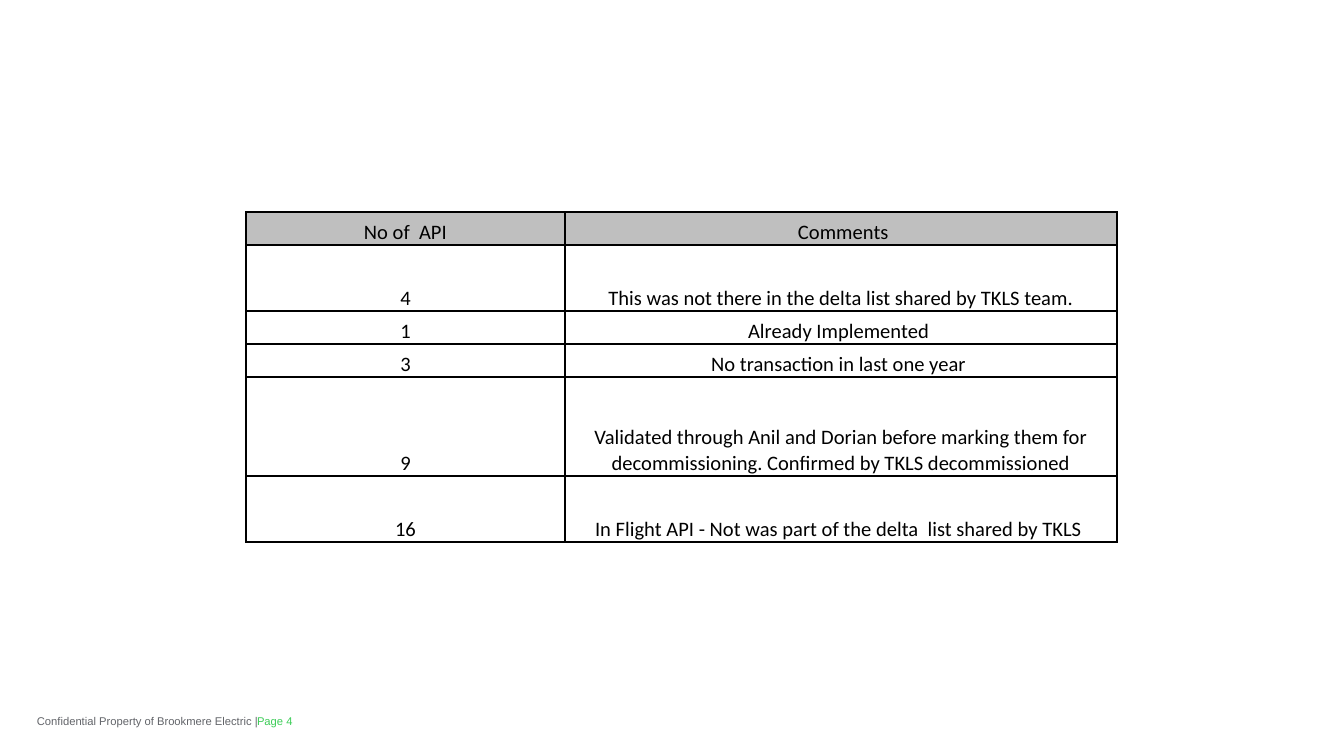
"""Build a slide with a table of API counts and comments."""
from lxml import etree
from pptx import Presentation
from pptx.dml.color import RGBColor
from pptx.enum.text import MSO_ANCHOR, PP_ALIGN
from pptx.oxml.ns import qn
from pptx.util import Pt

BOTTOM, MIDDLE = MSO_ANCHOR.BOTTOM, MSO_ANCHOR.MIDDLE
CENTER = PP_ALIGN.CENTER
SCALE = 914400 / 134.4
BLACK, GREY = "000000", "BFBFBF"
EDGES = ("a:lnL", "a:lnR", "a:lnT", "a:lnB")

ROWS = [
    ("No of  API", "  Comments "),
    ("4", "This was not there in the delta list shared by TKLS team."),
    ("1", "Already Implemented "),
    ("3", "No transaction in last one year "),
    ("9", "Validated through Anil and Dorian before marking them for "
          "decommissioning. Confirmed by TKLS decommissioned"),
    ("16", "In Flight API - Not was part of the delta  list shared by TKLS "),
]
UNIT = 33
LINES = (1, 2, 1, 1, 3, 2)
COLS = (319, 552)
LEFT, TOP = 246, 212
FOOTER = [
    ("Page 4", 257, 77, "3DCD58"),
    ("Confidential Property of Brookmere Electric |", 37, 222, "626469"),
]


def px(n):
    return round(n * SCALE)


def color(code):
    return RGBColor.from_string(code)


def style(para, font, size, code):
    para.font.name = font
    para.font.size = Pt(size)
    para.font.color.rgb = color(code)


def border(cell):
    props = cell._tc.get_or_add_tcPr()
    for edge in EDGES:
        line = etree.SubElement(props, qn(edge), w=str(Pt(1)))
        fill = etree.SubElement(line, qn("a:solidFill"))
        etree.SubElement(fill, qn("a:srgbClr"), val=BLACK)


def add_note(slide, text, left, width, code):
    box = slide.shapes.add_textbox(px(left), px(714), px(width), px(14))
    frame = box.text_frame
    frame.word_wrap = False
    frame.vertical_anchor = MIDDLE
    frame.margin_left = frame.margin_right = 0
    frame.margin_top = frame.margin_bottom = 0
    frame.text = text
    style(frame.paragraphs[0], "Arial", 6, code)


def fill_cell(cell, text, head):
    border(cell)
    if head:
        cell.fill.solid()
        cell.fill.fore_color.rgb = color(GREY)
    else:
        cell.fill.background()
    cell.vertical_anchor = BOTTOM
    cell.margin_left = cell.margin_right = px(9)
    cell.margin_top = cell.margin_bottom = 0
    cell.text = text
    para = cell.text_frame.paragraphs[0]
    para.alignment = CENTER
    style(para, "Calibri", 11, BLACK)


def add_grid(slide):
    frame = slide.shapes.add_table(
        len(ROWS), len(COLS), px(LEFT), px(TOP),
        px(sum(COLS)), px(UNIT * sum(LINES)))
    grid = frame.table
    grid.first_row = grid.horz_banding = False
    for col, width in zip(grid.columns, COLS):
        col.width = px(width)
    for r, (row, lines) in enumerate(zip(ROWS, LINES)):
        grid.rows[r].height = px(UNIT * lines)
        for c, text in enumerate(row):
            fill_cell(grid.cell(r, c), text, r == 0)


def main():
    deck = Presentation()
    deck.slide_width, deck.slide_height = px(1344), px(756)
    slide = deck.slides.add_slide(deck.slide_layouts[6])
    for note in FOOTER:
        add_note(slide, *note)
    add_grid(slide)
    deck.save("out.pptx")


if __name__ == "__main__":
    main()
